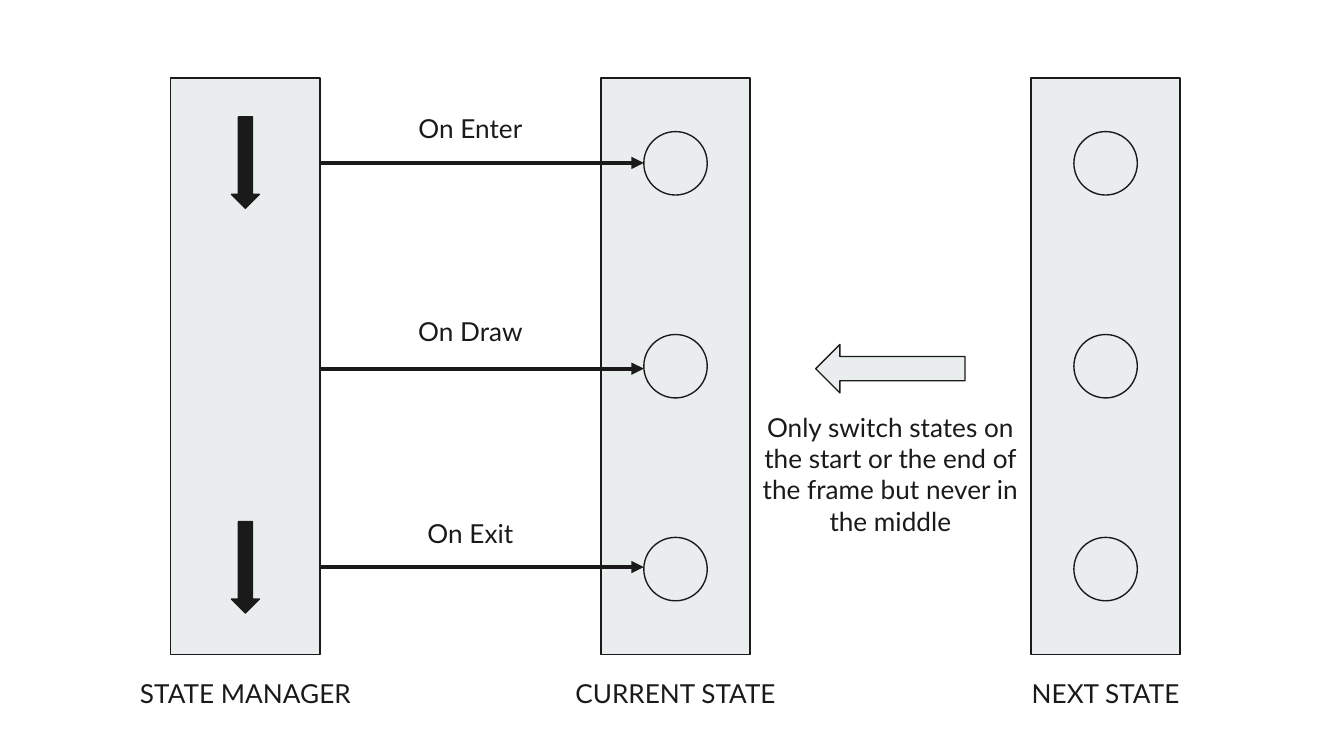
from lxml import etree
from pptx import Presentation
from pptx import util as u
from pptx.dml.color import RGBColor
from pptx.enum import shapes, text
from pptx.oxml.ns import qn

INK = RGBColor(0x1A, 0x1A, 0x1A)
PANEL = RGBColor(0xE9, 0xED, 0xEE)

# Layout in points
COLUMN_LEFT, COLUMN_STEP = 91.5, 230.4
COLUMN_TOP, COLUMN_WIDTH, COLUMN_HEIGHT = 41.8, 80, 309
CIRCLE = 34
CIRCLE_TOP, ROW_STEP = 70.5, 108.7
LABEL_WIDTH, LABEL_HEIGHT = 157, 33.8
SWITCH_CENTRE = 477


def write_text(frame, words, *, font="Lato", size=14, color=INK,
               align=text.PP_ALIGN.CENTER):
    paragraph = frame.paragraphs[0]
    paragraph.alignment = align
    run = paragraph.add_run()
    run.text = words
    run.font.name = font
    run.font.size = u.Pt(size)
    run.font.color.rgb = color


class Diagram:
    """Holds the current slide and the style of its elements."""

    outline, flow, inset = 0.75, 2.25, 7.2

    def __init__(self, slide):
        self.slide = slide

    def shape(self, kind, left, top, width, height, fill=PANEL):
        item = self.slide.shapes.add_shape(
            kind, u.Pt(left), u.Pt(top), u.Pt(width), u.Pt(height))
        item.shadow.inherit = False
        item.fill.solid()
        item.fill.fore_color.rgb = fill
        item.line.color.rgb = INK
        item.line.width = u.Pt(self.outline)

    def label(self, words, centre, top, height=LABEL_HEIGHT):
        box = self.slide.shapes.add_textbox(
            u.Pt(centre - LABEL_WIDTH / 2), u.Pt(top),
            u.Pt(LABEL_WIDTH), u.Pt(height))
        frame = box.text_frame
        frame.word_wrap = True
        frame.margin_left = frame.margin_right = u.Pt(self.inset)
        frame.margin_top = frame.margin_bottom = u.Pt(self.inset)
        write_text(frame, words)

    def arrow(self, start, end, y):
        link = self.slide.shapes.add_connector(
            shapes.MSO_CONNECTOR.STRAIGHT,
            u.Pt(start), u.Pt(y), u.Pt(end), u.Pt(y))
        link.line.color.rgb = INK
        link.line.width = u.Pt(self.flow)
        etree.SubElement(link.line._get_or_add_ln(), qn("a:tailEnd"),
                         type="triangle")
        etree.SubElement(link._element.spPr, qn("a:effectLst"))

    def column(self, name, left, circles):
        centre = left + COLUMN_WIDTH / 2
        self.shape(shapes.MSO_SHAPE.RECTANGLE, left, COLUMN_TOP,
                   COLUMN_WIDTH, COLUMN_HEIGHT)
        self.label(name, centre, 355.7)
        for row in range(circles):
            self.shape(shapes.MSO_SHAPE.OVAL, centre - CIRCLE / 2,
                       CIRCLE_TOP + row * ROW_STEP, CIRCLE, CIRCLE)


def main():
    deck = Presentation()
    deck.slide_width, deck.slide_height = u.Pt(720), u.Pt(405)
    diagram = Diagram(deck.slides.add_slide(deck.slide_layouts[6]))

    # State columns
    columns = [("STATE MANAGER", 0), ("CURRENT STATE", 3), ("NEXT STATE", 3)]
    for index, (name, circles) in enumerate(columns):
        diagram.column(name, COLUMN_LEFT + index * COLUMN_STEP, circles)

    # Calls from the manager to the current state
    manager_right = COLUMN_LEFT + COLUMN_WIDTH
    circle_left = COLUMN_LEFT + COLUMN_STEP + (COLUMN_WIDTH - CIRCLE) / 2
    calls = [("On Enter", 87.3), ("On Draw", 197.5), ("On Exit", 303.8)]
    for row, (event, y) in enumerate(calls):
        diagram.arrow(manager_right, circle_left, y)
        diagram.label(event, 252, 53.3 + row * 108.4)

    # Passing of time inside the manager
    for top in (62.6, 279.4):
        diagram.shape(shapes.MSO_SHAPE.DOWN_ARROW,
                      COLUMN_LEFT + COLUMN_WIDTH / 2 - 7.5, top, 15, 49, INK)

    # Switch from the next state
    diagram.shape(shapes.MSO_SHAPE.LEFT_ARROW,
                  SWITCH_CENTRE - 40, 184.5, 80, 26)
    diagram.label("Only switch states on the start or the end of the frame "
                  "but never in the middle", SWITCH_CENTRE, 213, 75)

    deck.save("out.pptx")


if __name__ == "__main__":
    main()
